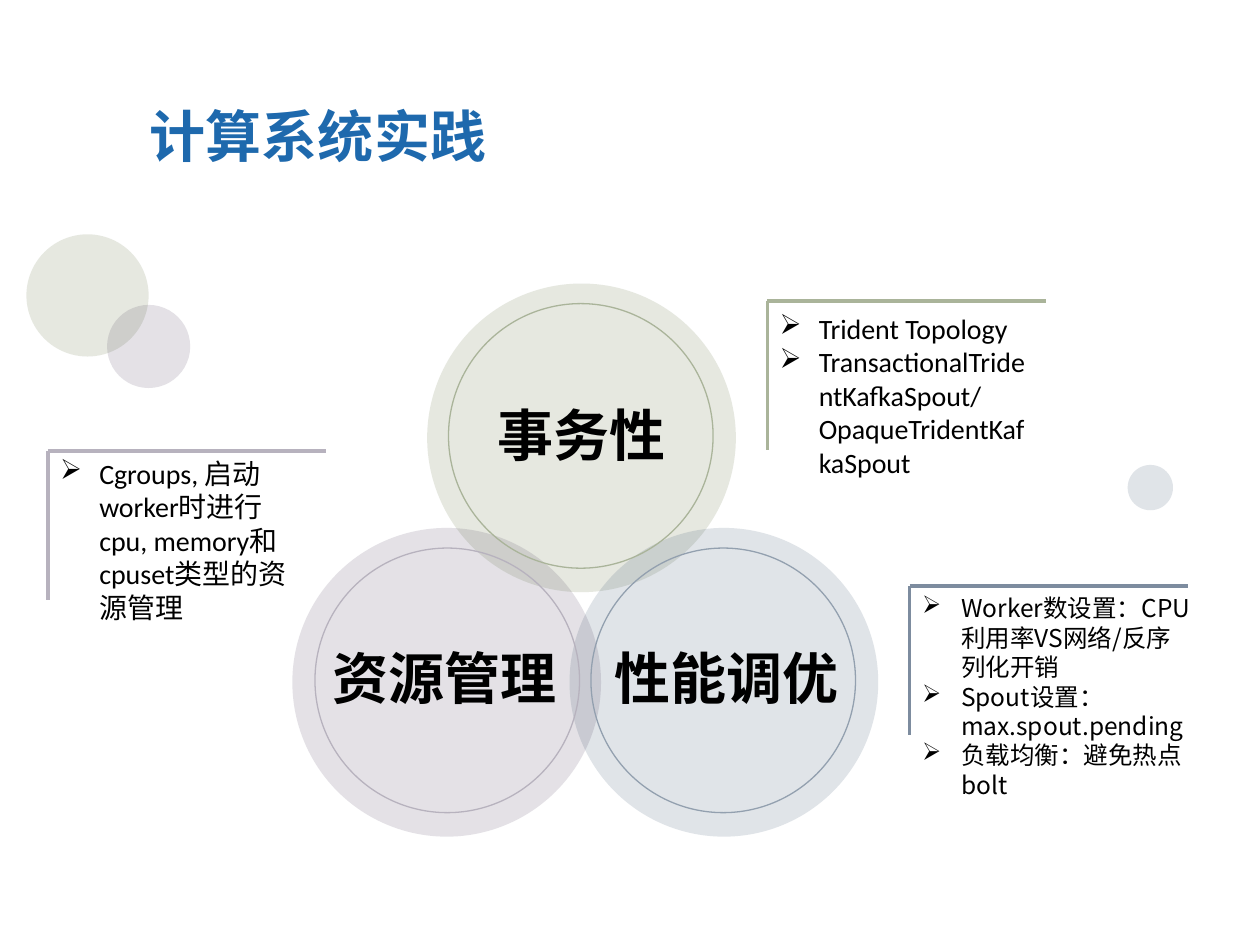
from dataclasses import dataclass
from typing import Any

from lxml.etree import SubElement as Sub
from pptx import Presentation
from pptx.dml.color import RGBColor
from pptx.enum.shapes import MSO_CONNECTOR as Connector, MSO_SHAPE as Shape
from pptx.enum.text import MSO_ANCHOR as Anchor, PP_ALIGN as Align
from pptx.oxml.ns import qn
from pptx.util import Inches, Pt

COLUMNS, ROWS = 100, 75
HAN, LATIN = "Noto Sans CJK SC", "Calibri"
OLIVE, NAVY, PURPLE = "4F6228", "254061", "403152"
SAGE, SLATE, MIST, LILAC = "AAB49A", "7D8C9F", "93A0AF", "B7B2BE"


def color(code):
    """Turn a hex string into a colour."""
    return RGBColor.from_string(code)


def apply(target, values):
    """Set each named attribute of the target."""
    for name, value in values.items():
        setattr(target, name, value)


@dataclass
class Canvas:
    """Style, deck and current page, measured in grid columns and rows."""
    deck: Any
    page: Any
    opacity: int = 14
    indent: float = 3.1

    def across(self, columns):
        """Convert columns to a length."""
        return round(self.deck.slide_width * columns / COLUMNS)

    def down(self, rows):
        """Convert rows to a length."""
        return round(self.deck.slide_height * rows / ROWS)

    def place(self, left, top, width, height):
        """Convert a grid area to lengths."""
        return (self.across(left), self.down(top),
                self.across(width), self.down(height))

    def text(self, area, lines, size, font=HAN, ink="000000", bold=False,
             bullet=None, anchor=Anchor.TOP):
        """Add centred text, or a list when a bullet is given."""
        box = self.page.shapes.add_textbox(*self.place(*area))
        apply(box.text_frame, {"word_wrap": True, "vertical_anchor": anchor})
        for index, line in enumerate(lines):
            frame = box.text_frame
            para = frame.add_paragraph() if index else frame.paragraphs[0]
            para.alignment = Align.LEFT if bullet else Align.CENTER
            if bullet:
                self.bullet(para, bullet)
            span = para.add_run()
            span.text = line
            apply(span.font, {"size": Pt(size), "name": font, "bold": bold})
            span.font.color.rgb = color(ink)
            Sub(span.font._element, qn("a:ea"), typeface=HAN)

    def bullet(self, para, mark):
        """Give a paragraph a hanging bullet."""
        layout = para._p.get_or_add_pPr()
        hang = self.across(self.indent)
        layout.set("marL", str(hang))
        layout.set("indent", str(-hang))
        Sub(layout, qn("a:buChar"), char=mark)

    def circle(self, left, top, size, fill=None, line=None):
        """Add a translucent disc or an outlined ring."""
        disc = self.page.shapes.add_shape(
            Shape.OVAL, *self.place(left, top, size, size))
        disc.shadow.inherit = False
        if fill:
            disc.fill.solid()
            disc.fill.fore_color.rgb = color(fill)
            tint = disc.fill._xPr.find(qn("a:solidFill"))[0]
            Sub(tint, qn("a:alpha"), val=str(self.opacity * 1000))
        else:
            disc.fill.background()
        if line:
            disc.line.color.rgb = color(line)
            disc.line.width = Pt(0.75)
        else:
            disc.line.fill.background()

    def rule(self, left, top, width, height, ink):
        """Add a straight line spanning the given extent."""
        x, y, run, drop = self.place(left, top, width, height)
        line = self.page.shapes.add_connector(
            Connector.STRAIGHT, x, y, x + run, y + drop)
        line.line.color.rgb = color(ink)
        line.line.width = Pt(2)
        Sub(line._element.spPr, qn("a:effectLst"))

    def note(self, area, corner, ink, lines, size, font):
        """Add a bulleted list under a corner bracket."""
        self.text(area, lines, size, font, bullet="➢")
        self.rule(*corner, 22.1, 0, ink)
        self.rule(*corner, 0, 11.8, ink)


def main():
    """Build the slide."""
    deck = Presentation()
    apply(deck, {"slide_width": Inches(10), "slide_height": Inches(7.5)})
    canvas = Canvas(deck, deck.slides.add_slide(deck.slide_layouts[6]))

    canvas.text((5, 3, 40.5, 15.5), ["计算系统实践"], 32, ink="1E69AD",
                bold=True, anchor=Anchor.MIDDLE)

    for left, top, fill in ((33.9, 22.5, OLIVE), (45.2, 41.9, NAVY),
                            (23.2, 41.9, PURPLE)):
        canvas.circle(left, top, 24.5, fill=fill)
    for left, top, label in ((24.8, 50.6, "资源管理"), (35.7, 31.3, "事务性"),
                             (47.2, 50.6, "性能调优")):
        canvas.text((left, top, 20.9, 6.4), [label], 32, bold=True)

    canvas.note((60.9, 24.2, 22, 16.3), (60.9, 23.9), SAGE,
                ["Trident Topology",
                 "TransactionalTridentKafkaSpout/OpaqueTridentKafkaSpout"],
                16, LATIN)
    canvas.note((72.2, 46.6, 23.4, 17.5), (72.2, 46.5), SLATE,
                ["Worker数设置：CPU利用率VS网络/反序列化开销",
                 "Spout设置：max.spout.pending",
                 "负载均衡：避免热点 bolt"], 14, HAN)
    canvas.note((3.8, 35.7, 21.7, 14.5), (3.8, 35.8), LILAC,
                ["Cgroups, 启动worker时进行cpu, memory和cpuset类型的资源管理"],
                16, LATIN)

    for left, top, line in ((35.6, 24.1, SAGE), (25, 43.5, LILAC),
                            (46.9, 43.5, MIST)):
        canvas.circle(left, top, 21, line=line)
    for left, top, size, fill in ((2.1, 18.6, 9.7, OLIVE),
                                  (8.5, 24.2, 6.6, PURPLE),
                                  (89.5, 36.9, 3.6, NAVY)):
        canvas.circle(left, top, size, fill=fill)

    deck.save("out.pptx")


if __name__ == "__main__":
    main()
